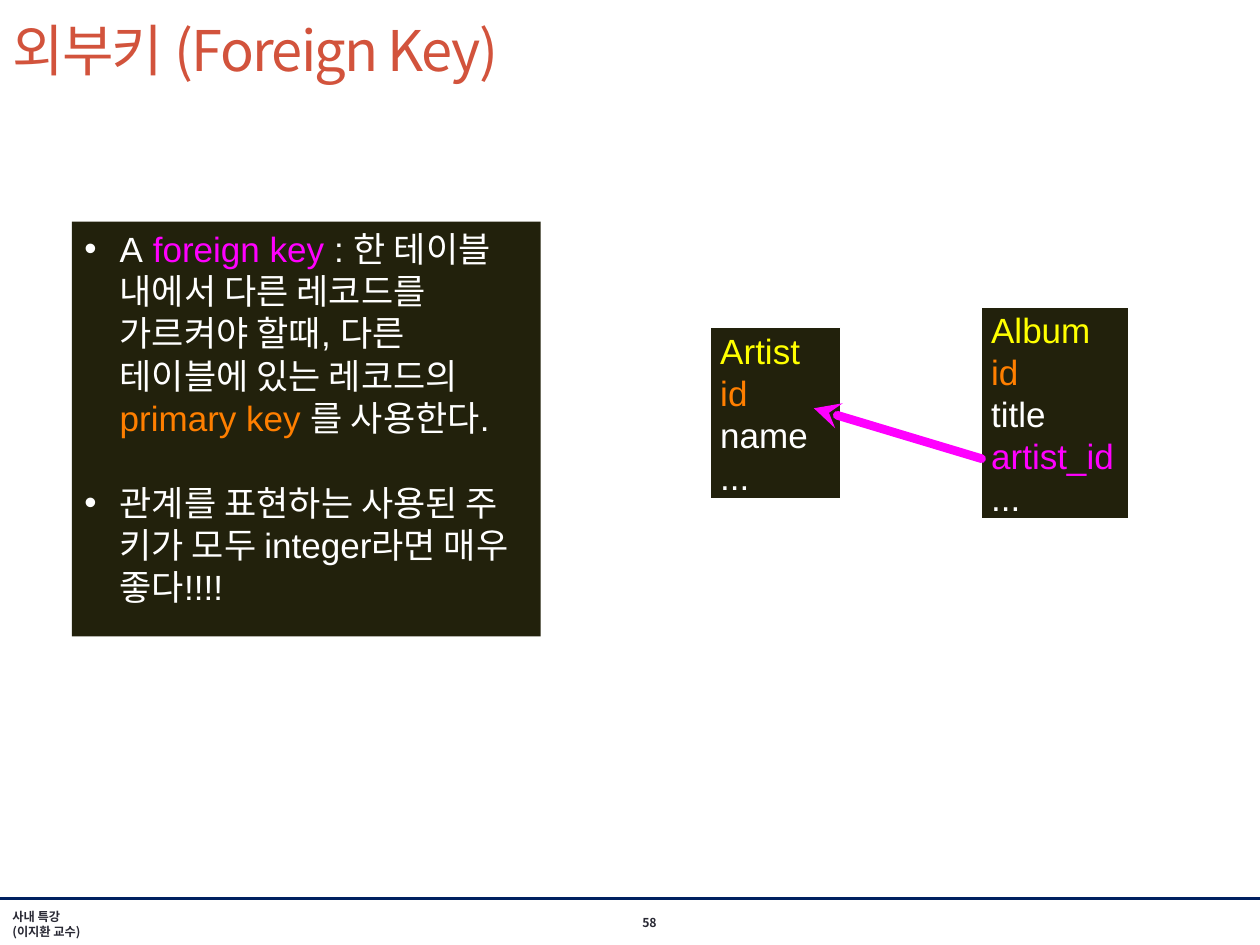
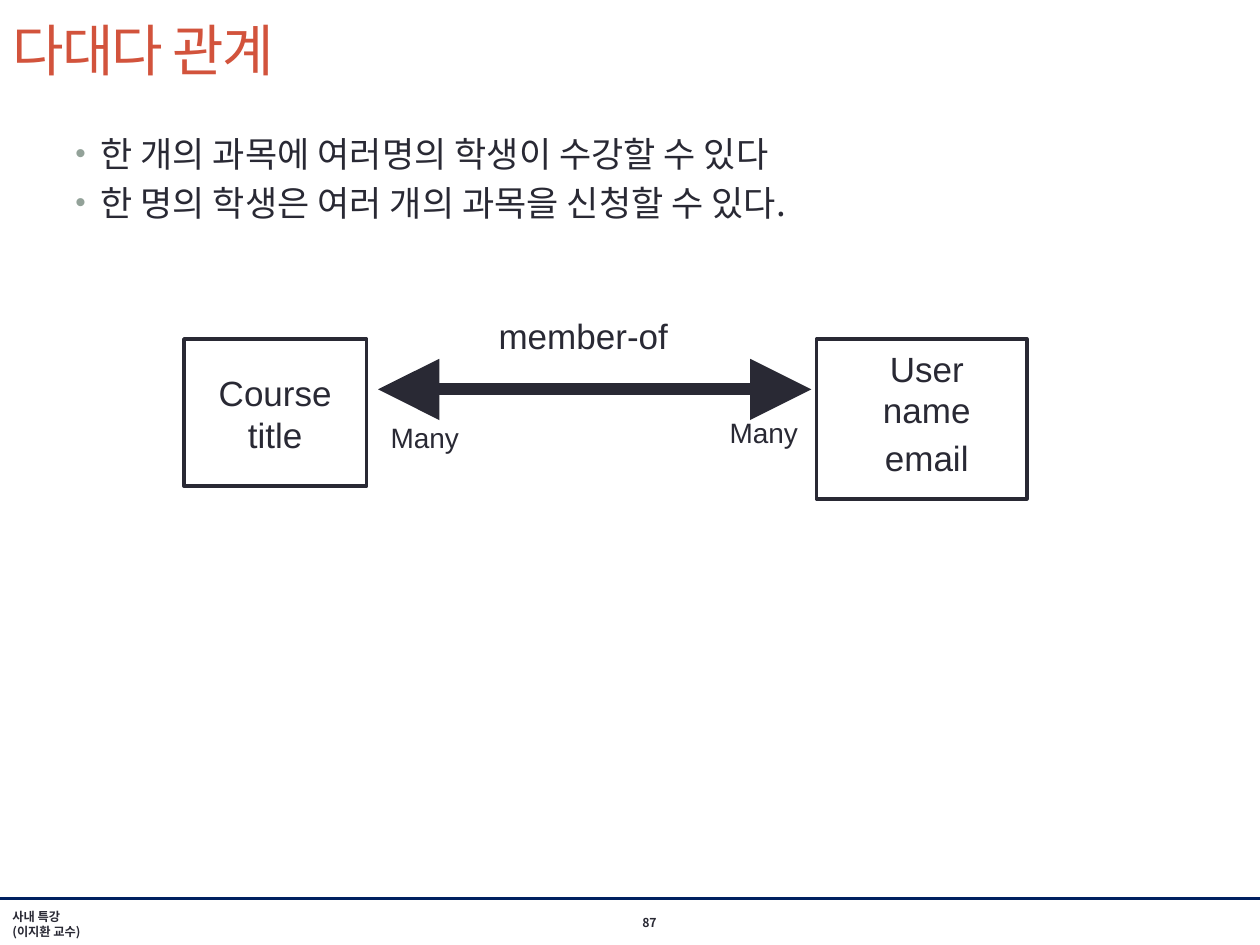
from dataclasses import dataclass
from typing import Any, Optional

from lxml.etree import SubElement as Sub
from pptx import Presentation
from pptx.dml.color import RGBColor
from pptx.enum.shapes import MSO_CONNECTOR as Conn, MSO_SHAPE as Form
from pptx.enum.text import MSO_ANCHOR as Anchor, PP_ALIGN as Align
from pptx.oxml.ns import qn
from pptx.util import Pt

WHITE = RGBColor(0xFF, 0xFF, 0xFF)
INK = RGBColor(0x29, 0x29, 0x34)
NAVY = RGBColor(0x00, 0x20, 0x60)
RED = RGBColor(0xD2, 0x53, 0x3C)
DARK = RGBColor(0x22, 0x21, 0x0C)
PINK = RGBColor(0xFF, 0x00, 0xFF)
ORANGE = RGBColor(0xFF, 0x7F, 0x00)
YELLOW = RGBColor(0xFF, 0xFF, 0x00)
SAGE = RGBColor(0x93, 0xA2, 0x99)

SANS = "Arial"
NOTO = "Noto Sans CJK KR"
PAD = (7.2, 3.6)
NONE = (0, 0)

Run = tuple[str, RGBColor]
Line = list[Run]


@dataclass(frozen=True)
class Box:
    """Place and size in points."""
    left: float
    top: float
    width: float
    height: float


@dataclass(frozen=True)
class Bullet:
    """Bullet colour, hanging indent and size in percent."""
    color: RGBColor
    indent: float
    size: int = 100


@dataclass(frozen=True)
class Label:
    """One line of dark text in its box."""
    text: str
    box: Box
    size: float = 20
    pad: tuple[float, float] = NONE
    align: Align = Align.CENTER
    anchor: Anchor = Anchor.MIDDLE


@dataclass(frozen=True)
class Card:
    """Dark box that lists the fields of a table."""
    box: Box
    rows: Line


@dataclass(frozen=True)
class Arrow:
    """Line between two points, with optional heads."""
    start: tuple[float, float]
    end: tuple[float, float]
    color: RGBColor
    width: float
    head: str = ""
    tail: str = ""
    size: str = "med"
    cap: str = "flat"


TITLE = Box(0, 0.7, 720, 54.7)
FOOT = Box(0, 519.8, 145.4, 16.6)
PAGE = Box(360, 519.1, 36, 16.6)
RULE = Arrow((0, 513.4), (720, 513.4), NAVY, 1.5)

CARDS = [
    Card(Box(406.1, 187.2, 74.2, 97.9),
         [("Artist", YELLOW), ("id", ORANGE), ("name", WHITE), ("...", WHITE)]),
    Card(Box(560.9, 175.7, 84.2, 121),
         [("Album", YELLOW), ("id", ORANGE), ("title", WHITE),
          ("artist_id", PINK), ("...", WHITE)]),
]
LINK = Arrow((465.1, 233.3), (560.9, 262.1), PINK, 5, head="stealth", cap="rnd")

FRAMES = [Box(466.6, 193.7, 120.2, 91.4), Box(105.1, 193.7, 104.4, 84.2)]
MEMBER = Arrow((216, 222.5), (463.7, 222.5), INK, 7,
               head="triangle", tail="triangle", size="lg")
MANY: dict[str, Any] = dict(size=16, pad=(4.3, 2.2), align=Align.LEFT,
                            anchor=Anchor.TOP)
LABELS = [
    Label("member-of", Box(277.2, 177.8, 112.3, 27.4)),
    Label("User", Box(499, 196.6, 61.2, 27.4)),
    Label("name", Box(502.6, 220.3, 54, 27.4)),
    Label("email", Box(493.9, 247.7, 71.3, 27.4)),
    Label("Many", Box(412.6, 235.4, 54, 23), **MANY),
    Label("Many", Box(218.9, 238.3, 54, 23), **MANY),
]


def tint(text: list[str], color: RGBColor) -> list[Line]:
    """Make one-run lines of a single colour."""
    return [[(part, color)] for part in text]


def mark(para: Any, dot: Bullet) -> None:
    """Give a paragraph its bullet and hanging indent."""
    props = para._p.get_or_add_pPr()
    props.set("marL", str(Pt(dot.indent)))
    props.set("indent", str(-Pt(dot.indent)))
    color = Sub(props, qn("a:buClr"))
    Sub(color, qn("a:srgbClr"), val=str(dot.color))
    Sub(props, qn("a:buSzPct"), val=str(dot.size * 1000))
    Sub(props, qn("a:buFont"), typeface=SANS)
    Sub(props, qn("a:buChar"), char="•")


def write(shape: Any, lines: list[Line], *, size: float = 20, font: str = SANS,
          bold: bool = False, align: Align = Align.LEFT,
          anchor: Anchor = Anchor.MIDDLE, pad: tuple[float, float] = PAD,
          pitch: Optional[float] = None, gap: float = 0, track: float = 0,
          dot: Optional[Bullet] = None, wrap: bool = True) -> None:
    """Fill a shape with lines of coloured runs."""
    frame = shape.text_frame
    frame.word_wrap = wrap
    frame.vertical_anchor = anchor
    frame.margin_left = frame.margin_right = Pt(pad[0])
    frame.margin_top = frame.margin_bottom = Pt(pad[1])
    for index, line in enumerate(lines):
        para = frame.add_paragraph() if index else frame.paragraphs[0]
        para.alignment = align
        if pitch:
            para.line_spacing = Pt(pitch)
        if index and gap:
            para.space_before = Pt(gap)
        if dot:
            mark(para, dot)
        for text, color in line:
            run = para.add_run()
            run.text = text
            run.font.size = Pt(size)
            run.font.bold = bold
            run.font.name = font
            run.font.color.rgb = color
            props = run.font._element
            Sub(props, qn("a:ea"), typeface=NOTO)
            if track:
                props.set("spc", str(round(track * 100)))


def place(box: Box) -> tuple[Pt, Pt, Pt, Pt]:
    """Turn a box into lengths."""
    return Pt(box.left), Pt(box.top), Pt(box.width), Pt(box.height)


def text(slide: Any, box: Box, lines: list[Line], **form: Any) -> None:
    """Add a text box."""
    write(slide.shapes.add_textbox(*place(box)), lines, **form)


def block(slide: Any, box: Box, fill: Optional[RGBColor] = None,
          edge: Optional[RGBColor] = None, width: float = 1) -> Any:
    """Add a flat rectangle."""
    shape = slide.shapes.add_shape(Form.RECTANGLE, *place(box))
    shape.shadow.inherit = False
    if fill is None:
        shape.fill.background()
    else:
        shape.fill.solid()
        shape.fill.fore_color.rgb = fill
    if edge is None:
        shape.line.fill.background()
    else:
        shape.line.color.rgb = edge
        shape.line.width = Pt(width)
    return shape


def draw(slide: Any, arrow: Arrow) -> None:
    """Add a line with its heads."""
    ends = [Pt(value) for value in (*arrow.start, *arrow.end)]
    shape = slide.shapes.add_connector(Conn.STRAIGHT, *ends)
    shape.line.color.rgb = arrow.color
    shape.line.width = Pt(arrow.width)
    line = shape.line._get_or_add_ln()
    line.set("cap", arrow.cap)
    for tag, kind in (("a:headEnd", arrow.head), ("a:tailEnd", arrow.tail)):
        if kind:
            Sub(line, qn(tag), type=kind, w=arrow.size, len=arrow.size)
    Sub(shape._element.spPr, qn("a:effectLst"))


def start(deck: Any, title: str, page: int) -> Any:
    """Add a slide with its title, rule and footer."""
    slide = deck.slides.add_slide(deck.slide_layouts[6])
    small: dict[str, Any] = dict(size=7, font=NOTO, bold=True, pitch=8.5)
    draw(slide, RULE)
    text(slide, PAGE, tint([str(page)], INK), **small)
    text(slide, TITLE, tint([title], RED), size=32, font=NOTO, track=-1)
    text(slide, FOOT, tint(["사내 특강", "(이지환 교수)"], INK), **small)
    return slide


def foreign(deck: Any) -> None:
    """Build the foreign key slide."""
    slide = start(deck, "외부키 (Foreign Key)", 58)
    lines = [
        [("A", WHITE), (" foreign key", PINK),
         (" : 한 테이블 내에서 다른 레코드를 가르켜야 할때, "
          "다른 테이블에 있는 레코드의 ", WHITE),
         ("primary key ", ORANGE), ("를 사용한다.", WHITE)],
        [("관계를 표현하는 사용된 주 키가 모두 integer라면 매우 좋다!!!!", WHITE)],
    ]
    panel = block(slide, Box(41.1, 126.7, 267.8, 236.9), DARK)
    write(panel, lines, anchor=Anchor.TOP, pitch=24, gap=25,
          dot=Bullet(WHITE, 20.2))
    for card in CARDS:
        shape = block(slide, card.box, DARK, WHITE)
        write(shape, [[row] for row in card.rows], pad=(5.5, 0), pitch=24,
              wrap=False)
    draw(slide, LINK)


def many(deck: Any) -> None:
    """Build the many-to-many slide."""
    slide = start(deck, "다대다 관계", 87)
    lines = ["한 개의 과목에 여러명의 학생이 수강할 수 있다",
             "한 명의 학생은 여러 개의 과목을 신청할 수 있다."]
    text(slide, Box(36, 72, 648, 424.1), tint(lines, INK), font=NOTO,
         anchor=Anchor.TOP, pitch=24, gap=4, dot=Bullet(SAGE, 14.4, 85))
    for box in FRAMES:
        block(slide, box, edge=INK, width=2)
    text(slide, Box(122.4, 211, 69.8, 50.4), tint(["Course", "title"], INK),
         align=Align.CENTER, pad=NONE, pitch=24, wrap=False)
    draw(slide, MEMBER)
    for label in LABELS:
        text(slide, label.box, tint([label.text], INK), size=label.size,
             pad=label.pad, align=label.align, anchor=label.anchor, wrap=False)


def main() -> None:
    """Build and save the deck."""
    deck = Presentation()
    deck.slide_width, deck.slide_height = Pt(720), Pt(540)
    foreign(deck)
    many(deck)
    deck.save("out.pptx")


if __name__ == "__main__":
    main()
